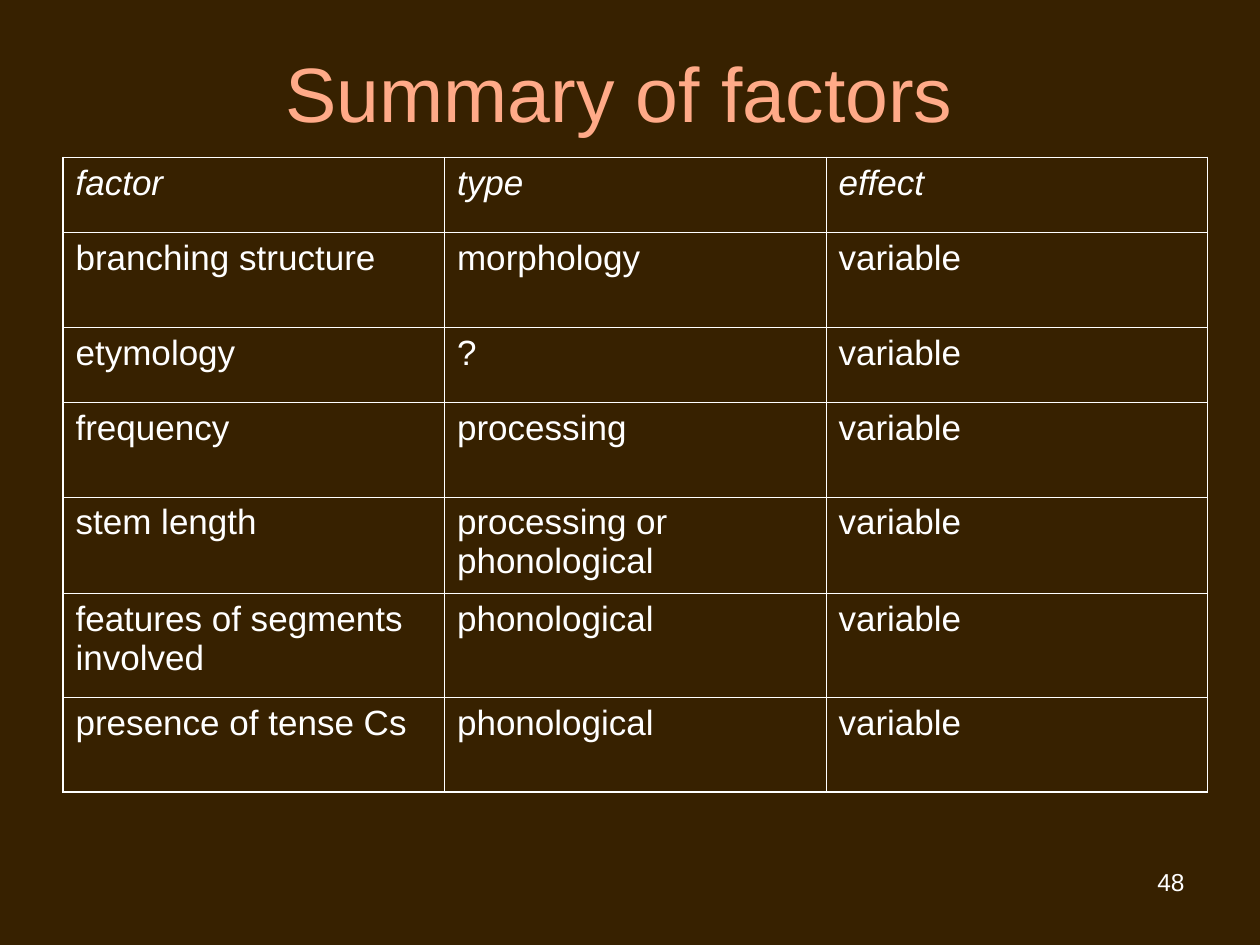
from pptx import Presentation
from pptx import util as u
from pptx.dml.color import RGBColor
from pptx.enum import text
from pptx.oxml import parse_xml
from pptx.oxml.ns import nsdecls

# Content
TITLE = "Summary of factors"
PAGE = "48"
ROWS = [
    ("factor", "type", "effect"),
    ("branching structure", "morphology", "variable"),
    ("etymology", "?", "variable"),
    ("frequency", "processing", "variable"),
    ("stem length", "processing or phonological", "variable"),
    ("features of segments involved", "phonological", "variable"),
    ("presence of tense Cs", "phonological", "variable"),
]
HIGH = [43, 54, 43, 54, 55.2, 59.4, 54]
WIDE = 218
BACK, HEAD, WHITE = "372100", "FFAA88", "FFFFFF"
THIN, THICK = 0.45, 1.08


def color(code):
    return RGBColor.from_string(code)


def style(para, size, code, align, slant=False):
    para.alignment = align
    for run in para.runs:
        font = run.font
        font.name, font.size, font.italic = "Arial", u.Pt(size), slant
        font.color.rgb = color(code)


def label(slide, words, box, size, code, align, anchor):
    frame = slide.shapes.add_textbox(*map(u.Pt, box)).text_frame
    frame.word_wrap = True
    frame.vertical_anchor = anchor
    frame.text = words
    style(frame.paragraphs[0], size, code, align)


def border(cell, sides):
    props = cell._tc.get_or_add_tcPr()
    for spot, (side, outer) in enumerate(sides):
        width = u.Pt(THICK if outer else THIN)
        props.insert(spot, parse_xml(
            f'<a:{side} {nsdecls("a")} w="{int(width)}"><a:solidFill>'
            f'<a:srgbClr val="{WHITE}"/></a:solidFill></a:{side}>'))


def grid(slide):
    rows, cols = len(ROWS), len(ROWS[0])
    table = slide.shapes.add_table(
        rows, cols, u.Pt(36), u.Pt(90), u.Pt(WIDE * cols), u.Pt(sum(HIGH))).table
    table.first_row = table.horz_banding = False
    for col in table.columns:
        col.width = u.Pt(WIDE)
    for r, words in enumerate(ROWS):
        table.rows[r].height = u.Pt(HIGH[r])
        for c, word in enumerate(words):
            cell = table.cell(r, c)
            cell.text = word
            cell.fill.background()
            para = cell.text_frame.paragraphs[0]
            para.space_before = u.Pt(5)
            style(para, 20, WHITE, text.PP_ALIGN.LEFT, slant=r == 0)
            # Outer edges are thicker than inner ones
            border(cell, [("lnL", c == 0), ("lnR", c == cols - 1),
                          ("lnT", r == 0), ("lnB", r == rows - 1)])


def main():
    deck = Presentation()
    deck.slide_width, deck.slide_height = u.Pt(720), u.Pt(540)
    slide = deck.slides.add_slide(deck.slide_layouts[6])
    slide.background.fill.solid()
    slide.background.fill.fore_color.rgb = color(BACK)

    # Title, table and page number
    label(slide, TITLE, (30, 18, 648, 68.4), 44, HEAD,
          text.PP_ALIGN.CENTER, text.MSO_ANCHOR.MIDDLE)
    grid(slide)
    label(slide, PAGE, (516, 492, 168, 37.5), 14, WHITE,
          text.PP_ALIGN.RIGHT, text.MSO_ANCHOR.TOP)
    deck.save("out.pptx")


if __name__ == "__main__":
    main()
